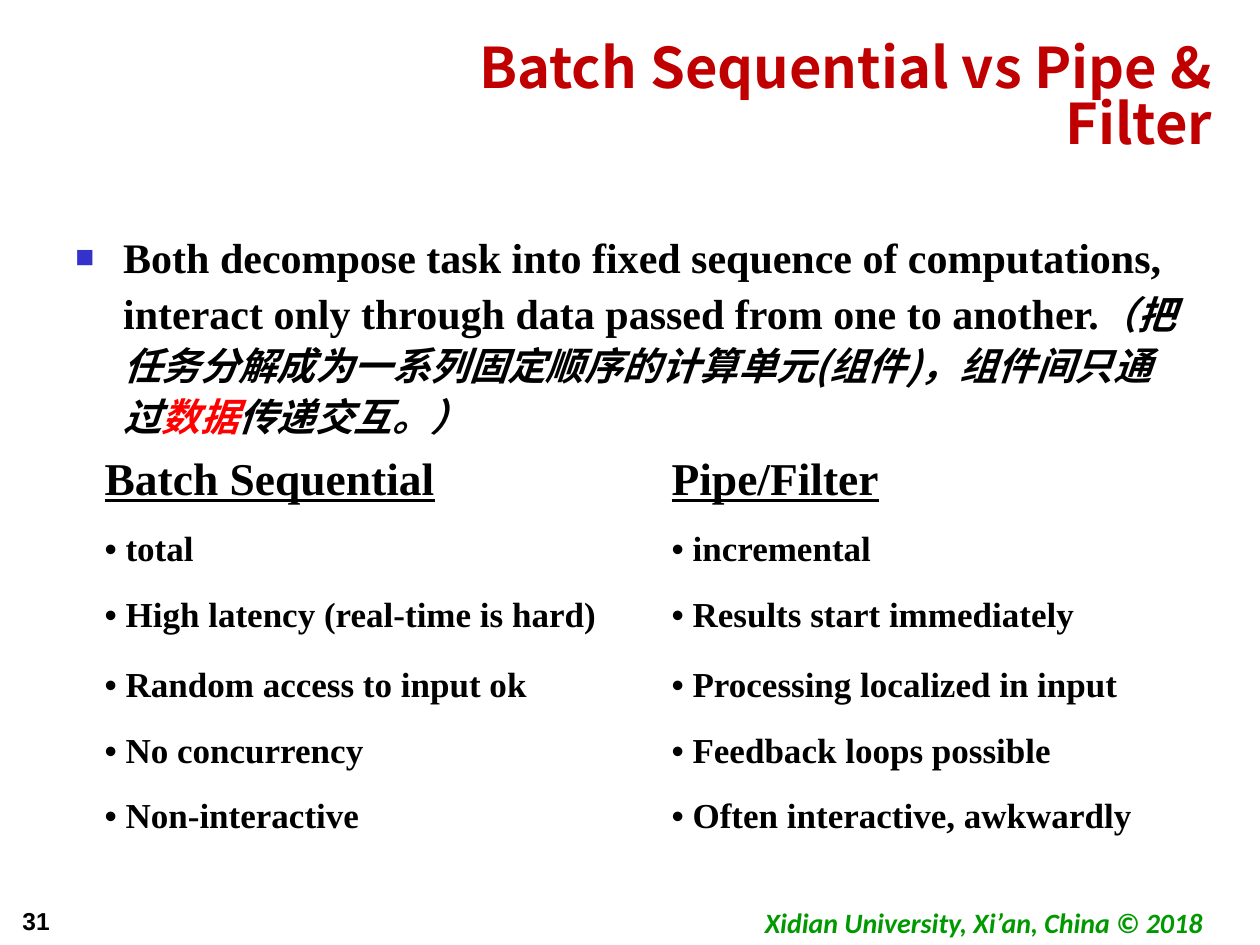
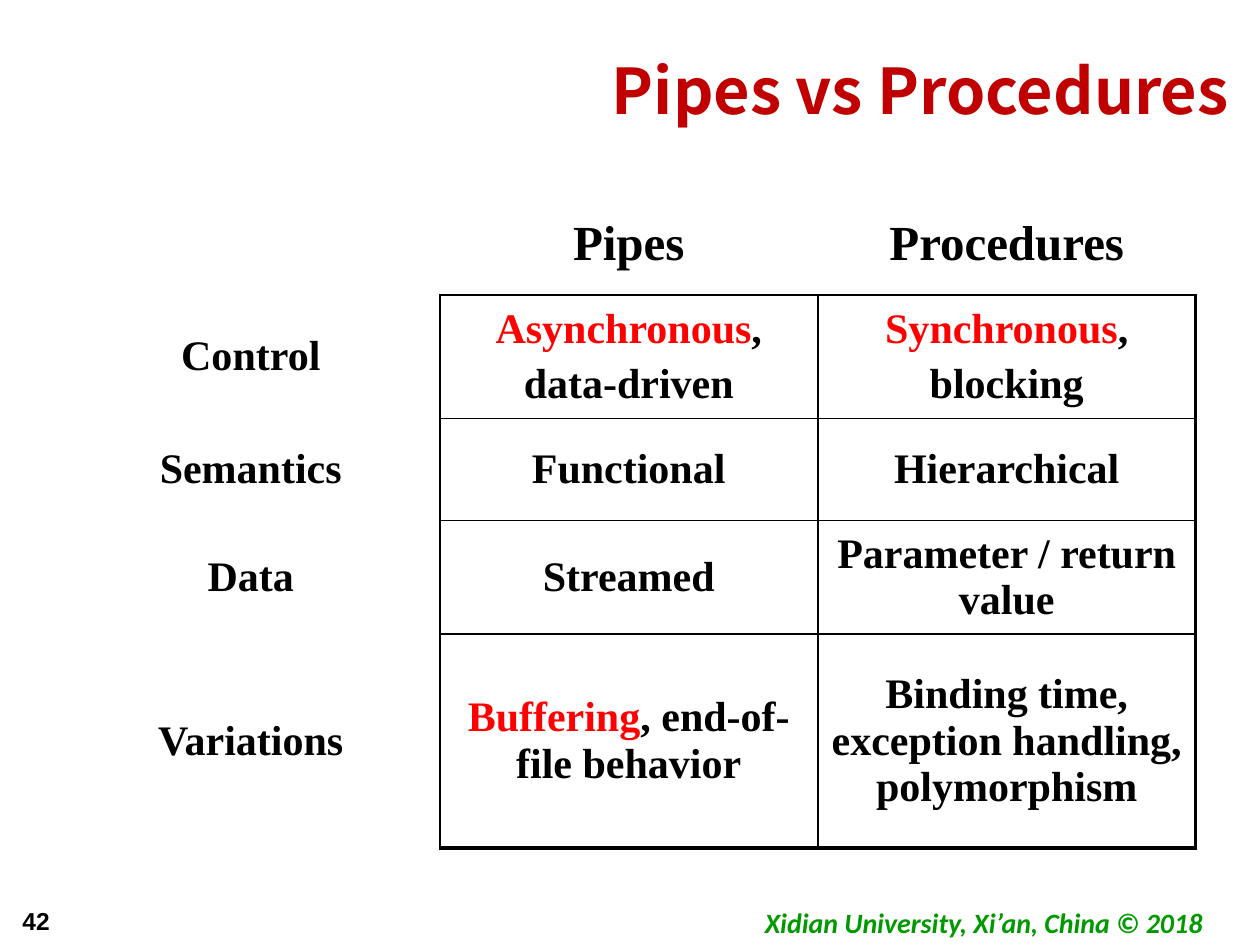
from dataclasses import dataclass
from lxml.etree import SubElement
from pptx import Presentation
from pptx.dml.color import RGBColor
from pptx.enum.text import MSO_ANCHOR, PP_ALIGN
from pptx.oxml.ns import qn
from pptx.util import Inches, Pt


@dataclass(frozen=True)
class Theme:
    """Colours, fonts and type sizes of the deck."""
    ink: str = "000000"
    red: str = "FF0000"
    head: str = "C00000"
    mark: str = "3333CC"
    foot: str = "009900"
    serif: str = "Times New Roman"
    sans: str = "Noto Sans CJK SC"
    label: str = "Arial"
    brand: str = "Calibri"
    big: int = 28
    sub: int = 26
    body: int = 24
    note: int = 22
    item: int = 20
    credit: int = 16
    page: int = 14
    thin: float = 1
    thick: float = 2.25


class Deck:
    """Draws each kind of element on the current slide."""

    def __init__(self, theme):
        """Open an empty deck."""
        self.theme = theme
        self.prs = Presentation()
        self.prs.slide_width, self.prs.slide_height = Inches(10), Inches(7.5)

    def start(self, page):
        """Add a slide with its footer and number."""
        look = self.theme
        self.slide = self.prs.slides.add_slide(self.prs.slide_layouts[6])
        foot = self.box(5.78, 7.11, 4.06, 0.39, wrap=False)
        foot.vertical_anchor = MSO_ANCHOR.MIDDLE
        par = self.para(foot, PP_ALIGN.CENTER, 1.1)
        self.run(par, "Xidian University, Xi’an, China © 2018", look.credit,
                 look.brand, look.foot, slant=True)
        par = self.para(self.box(0.08, 7.14, 0.59, 0.34))
        self.run(par, str(page), look.page, look.label)

    def box(self, left, top, wide, high, wrap=True):
        """Add a text box and return its frame."""
        place = [Inches(n) for n in (left, top, wide, high)]
        frame = self.slide.shapes.add_textbox(*place).text_frame
        frame.word_wrap = wrap
        return frame

    def para(self, frame, align=PP_ALIGN.LEFT, lead=None, gap=0, first=True):
        """Style the first paragraph or add another one."""
        par = frame.paragraphs[0] if first else frame.add_paragraph()
        par.alignment = align
        par.space_before = Pt(gap)
        if lead:
            par.line_spacing = lead
        return par

    def run(self, par, text, size, font=None, tint=None, slant=None, line=None):
        """Add one bold run."""
        look = self.theme
        run = par.add_run()
        run.text = text
        face = run.font
        face.size, face.bold, face.italic = Pt(size), True, slant
        face.underline = line
        face.name = font or look.serif
        face.color.rgb = RGBColor.from_string(tint or look.ink)
        east = SubElement(run._r.rPr, qn("a:ea"))
        east.set("typeface", look.sans)

    def bullet(self, par, sign, tint=None, scale=100, indent=0):
        """Give a paragraph its bullet and hanging indent."""
        props = par._p.get_or_add_pPr()
        props.set("marL", str(Inches(indent)))
        props.set("indent", str(-Inches(indent)))
        if tint:
            paint = SubElement(props, qn("a:buClr"))
            SubElement(paint, qn("a:srgbClr")).set("val", tint)
        SubElement(props, qn("a:buSzPct")).set("val", str(scale * 1000))
        SubElement(props, qn("a:buFont")).set("typeface", self.theme.label)
        SubElement(props, qn("a:buChar")).set("char", sign)

    def title(self, text, size, place, lead=None):
        """Add the right-aligned slide title."""
        par = self.para(self.box(*place), PP_ALIGN.RIGHT, lead)
        self.run(par, text, size, self.theme.sans, self.theme.head)

    def grid(self, left, top, cols, rows):
        """Add a bare table without style or fill."""
        place = [Inches(n) for n in (left, top, sum(cols), sum(rows))]
        table = self.slide.shapes.add_table(len(rows), len(cols), *place).table
        table.first_row = table.horz_banding = False
        style = table._tbl.tblPr.find(qn("a:tableStyleId"))
        style.text = "{2D5ABB26-0587-4C30-8999-92F81FD0307C}"
        for col, wide in zip(table.columns, cols):
            col.width = Inches(wide)
        for row, high in zip(table.rows, rows):
            row.height = Inches(high)
        for cell in table.iter_cells():
            cell.fill.background()
        return table

    def edge(self, cell, **sides):
        """Draw the given cell borders, keyed L, R, T and B."""
        props = cell._tc.get_or_add_tcPr()
        spot = 0
        for side in "LRTB":
            if side in sides:
                line = SubElement(props, qn(f"a:ln{side}"))
                line.set("w", str(Pt(sides[side])))
                fill = SubElement(line, qn("a:solidFill"))
                SubElement(fill, qn("a:srgbClr")).set("val", self.theme.ink)
                props.insert(spot, line)
                spot += 1


def batch(deck):
    """Compare batch sequential with pipe and filter."""
    look = deck.theme
    deck.start(31)
    deck.title("Batch Sequential vs Pipe & Filter", 32, (3.5, 0.3, 6.22, 1.09), 0.83)
    par = deck.para(deck.box(0.5, 1.75, 9, 1.8), lead=1.1, gap=0.2 * look.body)
    deck.bullet(par, "■", look.mark, 75, 0.38)
    deck.run(par, "Both decompose task into fixed sequence of computations, "
             "interact only through data passed from one to another.", look.body)
    for text, font, tint in (
            ("（", look.serif, look.ink),
            ("把任务分解成为一系列固定顺序的计算单元(组件)，组件间只通过", look.sans, look.ink),
            ("数据", look.sans, look.red),
            ("传递交互。）", look.sans, look.ink)):
        deck.run(par, text, look.note, font, tint, slant=True)
    pairs = (
        ("Batch Sequential", "Pipe/Filter"),
        ("total", "incremental"),
        ("High latency (real-time is hard)", "Results start immediately"),
        ("Random access to input ok", "Processing localized in input"),
        ("No concurrency", "Feedback loops possible"),
        ("Non-interactive", "Often interactive, awkwardly"))
    table = deck.grid(0.73, 3.56, [4.5] * 2, [0.6, 0.52, 0.56, 0.52, 0.52, 0.52])
    for row, pair in enumerate(pairs):
        size = look.item if row else look.sub
        for col, text in enumerate(pair):
            par = deck.para(table.cell(row, col).text_frame, gap=0.2 * size)
            if row:
                deck.bullet(par, "•")
                deck.run(par, " " + text, size)
            else:
                deck.run(par, text, size, line=True)


def pipes(deck):
    """Compare pipes with procedures."""
    look = deck.theme
    deck.start(42)
    rows = (
        ("", [("", "Pipes")], [("", "Procedures")]),
        ("Control", [("Asynchronous", ","), ("", "data-driven")],
         [("Synchronous", ","), ("", "blocking")]),
        ("Semantics", [("", "Functional")], [("", "Hierarchical")]),
        ("Data", [("", "Streamed")], [("", "Parameter / return value")]),
        ("Variations", [("Buffering", ", end-of-file behavior")],
         [("", "Binding time, exception handling, polymorphism")]))
    table = deck.grid(0.49, 1.53, [3] * 3, [0.81, 0.98, 0.81, 0.9, 1.7])
    for row, (name, *cells) in enumerate(rows):
        size = look.body if row else look.big
        for col, lines in enumerate([[("", name)], *cells]):
            cell = table.cell(row, col)
            cell.vertical_anchor = MSO_ANCHOR.MIDDLE
            for step, (hot, rest) in enumerate(lines):
                par = deck.para(cell.text_frame, PP_ALIGN.CENTER,
                                gap=0.2 * size, first=step == 0)
                for text, tint in ((hot, look.red), (rest, look.ink)):
                    if text:
                        deck.run(par, text, size, tint=tint)
            if row and col:
                deck.edge(cell, L=look.thin, T=look.thin,
                          R=look.thick if col == 2 else look.thin,
                          B=look.thick if row == 4 else look.thin)
            elif col:
                deck.edge(cell, B=look.thin)
            elif row:
                deck.edge(cell, R=look.thin)
    deck.title("Pipes vs Procedures", 36, (3.43, 0.36, 6.42, 0.63))


def main():
    """Build and save the deck."""
    deck = Deck(Theme())
    batch(deck)
    pipes(deck)
    deck.prs.save("out.pptx")


if __name__ == "__main__":
    main()
